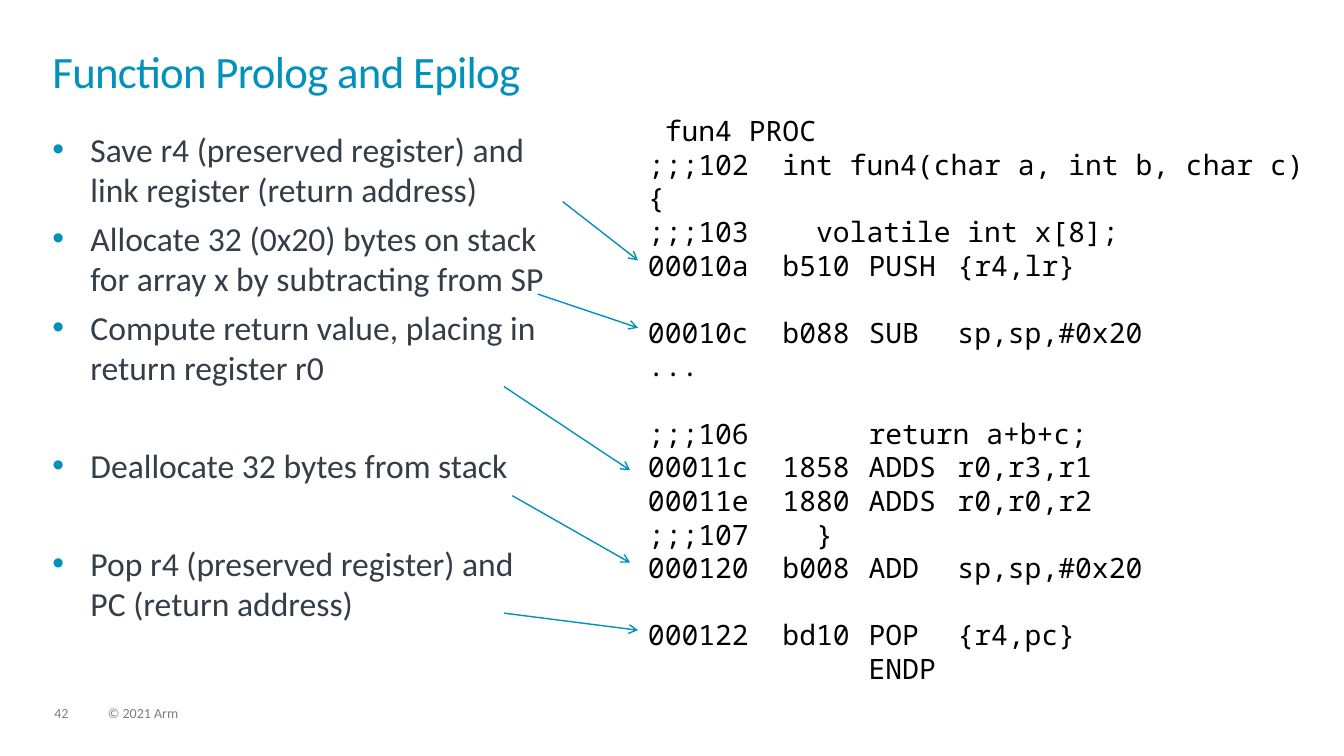
from pptx import Presentation
from pptx.dml.color import RGBColor
from pptx.enum.shapes import MSO_CONNECTOR
from pptx.enum.text import MSO_ANCHOR, PP_ALIGN
from pptx.oxml import parse_xml
from pptx.oxml.ns import nsdecls
from pptx.util import Cm, Pt

BLUE = "0091BD"
GREY = "7F7F7F"


def paint(color, value):
    color.rgb = RGBColor.from_string(value)


def fill(box, lines, font, size, color, pad=0):
    """Write the lines into the box, one paragraph each, and format them."""
    frame = box.text_frame
    frame.word_wrap = True
    frame.vertical_anchor = MSO_ANCHOR.TOP
    frame.margin_left = frame.margin_right = Cm(pad)
    frame.margin_top = frame.margin_bottom = Cm(pad / 2)
    frame.text = "\n".join(lines)
    for para in frame.paragraphs:
        para.alignment = PP_ALIGN.LEFT
        for run in para.runs:
            run.font.name = font
            run.font.size = Pt(size)
            paint(run.font.color, color)
    return frame.paragraphs


deck = Presentation()
deck.slide_width, deck.slide_height = Cm(33.87), Cm(19.05)
slide = deck.slides.add_slide(deck.slide_layouts[5])
shapes = slide.shapes

# Title
title = shapes.title
title.left, title.top, title.width, title.height = Cm(1.32), Cm(1.32), Cm(31.2), Cm(1.83)
head = fill(title, ["Function Prolog and Epilog"], "Calibri", 32, BLUE)[0]
head.line_spacing = 0.85
head.runs[0].font._element.set("spc", "-50")

# Bulleted steps, with the space before each in points
steps = [
    ("Save r4 (preserved register) and link register (return address)", 0),
    ("Allocate 32 (0x20) bytes on stack for array x by subtracting from SP", 6),
    ("Compute return value, placing in return register r0", 6),
    ("Deallocate 32 bytes from stack", 41),
    ("Pop r4 (preserved register) and PC (return address)", 41),
]
body = shapes.add_textbox(Cm(1.32), Cm(3.25), Cm(12.65), Cm(13.74))
paras = fill(body, [text for text, gap in steps], "Calibri", 24, "333E48")
for para, (text, gap) in zip(paras, steps):
    para.space_before = Pt(gap)
    props = para._p.get_or_add_pPr()
    props.set("marL", str(Cm(0.96)))
    props.set("indent", str(Cm(-0.96)))
    for part in (
        f'<a:buClr {nsdecls("a")}><a:srgbClr val="{BLUE}"/></a:buClr>',
        f'<a:buFont {nsdecls("a")} typeface="Arial"/>',
        f'<a:buChar {nsdecls("a")} char="•"/>',
    ):
        props.append(parse_xml(part))

# Assembly listing, with a line of space before some lines
code = [
    (" fun4 PROC", 0),
    (";;;102  int fun4(char a, int b, char c) {", 0),
    (";;;103    volatile int x[8];", 0),
    ("00010a  b510\tPUSH\t{r4,lr}", 0),
    ("00010c  b088 \tSUB  \tsp,sp,#0x20", 24),
    ("...", 0),
    (";;;106    \treturn a+b+c;", 24),
    ("00011c  1858 \tADDS \tr0,r3,r1", 0),
    ("00011e  1880 \tADDS \tr0,r0,r2", 0),
    (";;;107    }", 0),
    ("000120  b008 \tADD  \tsp,sp,#0x20", 0),
    ("000122  bd10 \tPOP  \t{r4,pc}", 24),
    ("             \tENDP", 0),
]
panel = shapes.add_textbox(Cm(16.08), Cm(2.74), Cm(17.68), Cm(14.78))
paras = fill(panel, [text for text, gap in code], "Noto Sans Mono", 20, "000000", 0.25)
for para, (text, gap) in zip(paras, code):
    para.space_before = Pt(gap)
    stops = "".join(f'<a:tab pos="{Cm(pos)}" algn="l"/>' for pos in (5.56, 7.8))
    para._p.get_or_add_pPr().append(
        parse_xml(f'<a:tabLst {nsdecls("a")}>{stops}</a:tabLst>'))

# Arrows from the steps to the code
arrows = [
    (14.18, 5.08, 16.08, 6.56),
    (13.55, 7.41, 16.08, 8.26),
    (12.7, 9.74, 15.88, 11.85),
    (12.91, 12.49, 15.88, 14.18),
    (12.7, 15.45, 16.08, 15.88),
]
for ends in arrows:
    arrow = shapes.add_connector(MSO_CONNECTOR.STRAIGHT, *map(Cm, ends))
    arrow.line.width = Pt(1)
    paint(arrow.line.color, BLUE)
    arrow.line._get_or_add_ln().append(
        parse_xml(f'<a:tailEnd {nsdecls("a")} type="arrow"/>'))
    arrow._element.spPr.append(parse_xml(f'<a:effectLst {nsdecls("a")}/>'))

# Footer
for text, left, width in (("42", 1.37, 0.86), ("© 2021 Arm", 2.72, 12.88)):
    foot = shapes.add_textbox(Cm(left), Cm(17.81), Cm(width), Cm(0.38))
    fill(foot, [text], "Calibri", 10, GREY)[0].line_spacing = 0.9

deck.save("out.pptx")
